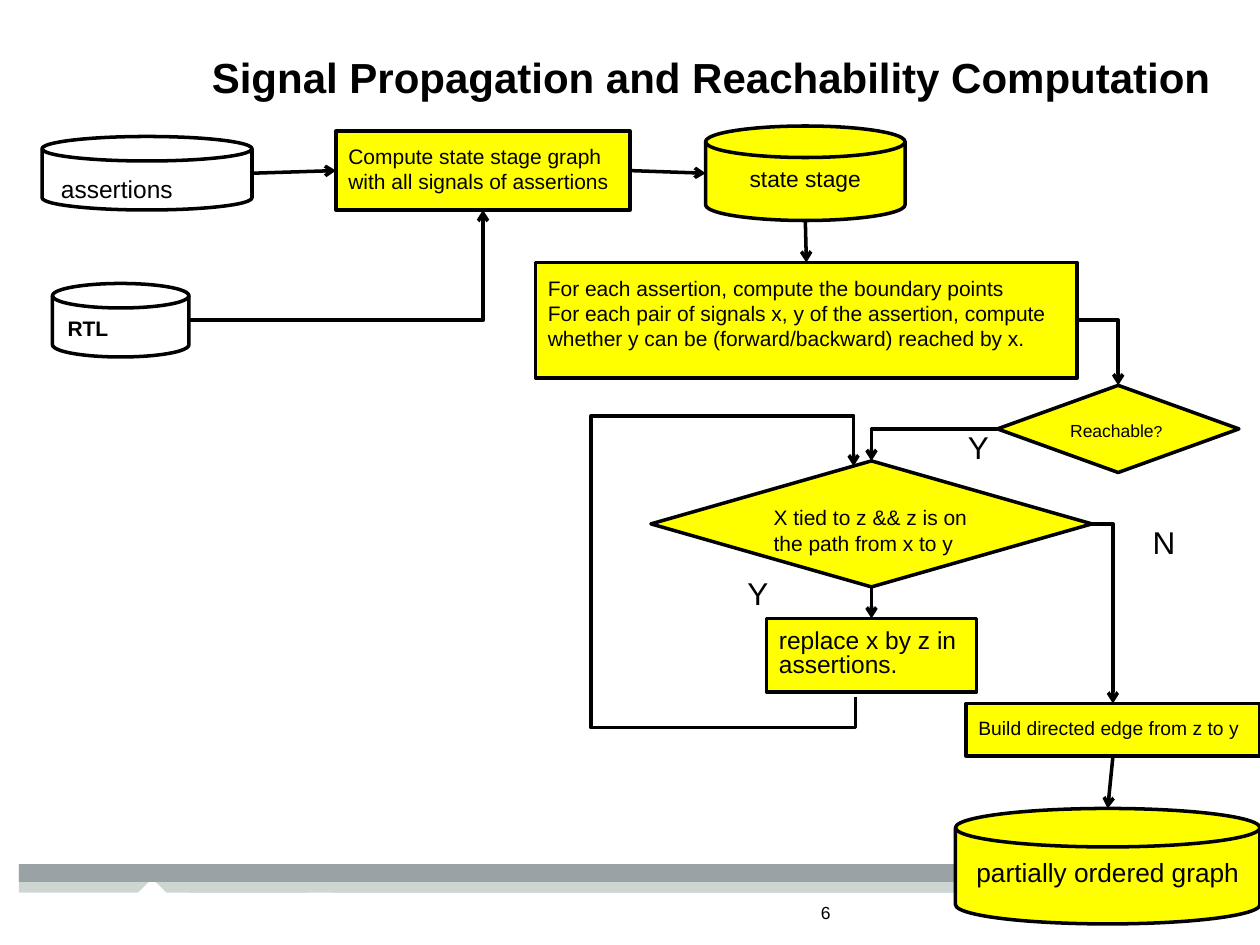
import pptx
import pptx.dml.color
import pptx.enum.shapes
import pptx.enum.text
import pptx.oxml
import pptx.oxml.ns
import pptx.util

SHAPES = pptx.enum.shapes.MSO_SHAPE
ALIGN = pptx.enum.text.PP_ALIGN
COLORS = {"ink": "000000", "step": "FFFF00", "input": "FFFFFF",
          "band": "99A2A5", "strip": "CDD6D1"}
FONT = "Arial"
CELL = pptx.util.Inches(1) / 12  # the slide is a grid of 120 columns by 90 rows
COLUMNS, ROWS = 120, 90

TITLE = "Signal Propagation and Reachability Computation"

# name: preset, (column, row, columns, rows), fill, paragraphs, format values
NODES = {
    "boundary": (SHAPES.RECTANGLE, (51, 25, 51.6, 11), "step",
                 ["For each assertion, compute the boundary points",
                  "For each pair of signals x, y of the assertion, compute "
                  "whether y can be (forward/backward) reached by x."],
                 {"size": 12}),
    "reachable": (SHAPES.DIAMOND, (95, 36.7, 23, 8.3), "step",
                  ["Reachable?"], {"size": 10}),
    "assertions": (SHAPES.FLOWCHART_MAGNETIC_DISK, (4, 13, 20, 7), "input",
                   ["assertions"], {"size": 14, "left": 0.15}),
    "state": (SHAPES.FLOWCHART_MAGNETIC_DISK, (67.2, 12, 19, 9), "step",
              ["state stage"], {"size": 13, "left": 0.35, "spacing": 0.8}),
    "graph": (SHAPES.FLOWCHART_MAGNETIC_DISK, (91, 77, 29, 11), "step",
              ["partially ordered graph"],
              {"size": 15, "spacing": 0.9, "align": ALIGN.CENTER}),
    "edge": (SHAPES.RECTANGLE, (92, 67, 28, 5), "step",
             ["Build directed edge from z to y"], {"size": 11}),
    "compute": (SHAPES.RECTANGLE, (32, 12.5, 28, 7.5), "step",
                ["Compute state stage graph", "with all signals of assertions"],
                {"size": 12}),
    "replace": (SHAPES.RECTANGLE, (73, 58.9, 20, 7), "step",
                ["replace x by z in assertions."], {"size": 14, "spacing": 0.8}),
    "tied": (SHAPES.DIAMOND, (62, 43.9, 42, 12), "step",
             ["X tied to z && z is on the path from x to y"], {"size": 12}),
    "rtl": (SHAPES.FLOWCHART_MAGNETIC_DISK, (5, 27, 13, 7), "input",
            ["RTL"], {"size": 12, "bold": True, "left": 0.12, "spacing": 0.8}),
}

STRAIGHT = [("assertions", "right", "compute", "left"),
            ("compute", "right", "state", "left"),
            ("state", "bottom", "boundary", "top"),
            ("tied", "bottom", "replace", "top"),
            ("edge", "bottom", "graph", "top")]
ELBOWS = [("rtl", "right", "compute", "bottom"),
          ("boundary", "right", "reachable", "top"),
          ("reachable", "left", "tied", "top"),
          ("tied", "right", "edge", "top")]
LOOP = [(81.5, 66.4), (81.5, 69.3), (56.3, 69.3),
        (56.3, 39.6), (81.3, 39.6), (81.3, 44.4)]

# text, (column, row, columns, rows), size
LABELS = [("Y", (91, 40.2, 3.5, 4.8), 18), ("Y", (70, 54.1, 3.5, 4.8), 18),
          ("N", (108.6, 49.2, 3.5, 4.8), 18), ("6", (77, 85.3, 9, 4.1), 10)]

BAND = (1.8, 82.3, 116.6, 1.7)
STRIPS = [(18.1, 118.3, 30.5), (1.8, 104.8, 14.5)]  # left, right, notch centre
STRIP_TOP, STRIP_BOTTOM, NOTCH = 82.7, 85, 1.35
SIDES = {"left": (0, 0.5), "right": (1, 0.5), "top": (0.5, 0), "bottom": (0.5, 1)}


def grid(values):
    return [round(value * CELL) for value in values]


def color(name):
    return pptx.dml.color.RGBColor.from_string(COLORS[name])


def side(name, which):
    """Middle of one side of a node, in grid units."""
    left, top, width, height = NODES[name][1]
    across, down = SIDES[which]
    return left + width * across, top + height * down


def write(frame, paragraphs, size, inset=0.1, left=0.1, bold=False,
          spacing=1.0, align=ALIGN.LEFT):
    margin = pptx.util.Inches(inset)
    frame_format = {"word_wrap": True, "margin_left": pptx.util.Inches(left),
                    "margin_right": pptx.util.Inches(0.1), "margin_top": margin,
                    "margin_bottom": margin,
                    "vertical_anchor": pptx.enum.text.MSO_ANCHOR.TOP}
    for key, value in frame_format.items():
        setattr(frame, key, value)
    for number, text in enumerate(paragraphs):
        paragraph = frame.add_paragraph() if number else frame.paragraphs[0]
        paragraph.text = text
        paragraph.alignment = align
        paragraph.line_spacing = spacing
        font_format = {"name": FONT, "size": pptx.util.Pt(size), "bold": bold}
        for key, value in font_format.items():
            setattr(paragraph.font, key, value)
        paragraph.font.color.rgb = color("ink")


def paint(shape, fill):
    shape.shadow.inherit = False
    shape.fill.solid()
    shape.fill.fore_color.rgb = color(fill)


def outline(shape):
    shape.line.color.rgb = color("ink")
    shape.line.width = pptx.util.Pt(2)


def add_arrowhead(shape):
    line = shape.element.spPr.find(pptx.oxml.ns.qn("a:ln"))
    line.append(pptx.oxml.parse_xml(
        f'<a:tailEnd {pptx.oxml.ns.nsdecls("a")} type="arrow"/>'))


def add_polygon(slide, points, close):
    first, *rest = [grid(point) for point in points]
    builder = slide.shapes.build_freeform(*first, scale=1.0)
    builder.add_line_segments(rest, close=close)
    return builder.convert_to_shape()


def add_route(slide, points):
    """Open line with corners and an arrowhead at its end."""
    route = add_polygon(slide, points, close=False)
    route.shadow.inherit = False
    route.fill.background()
    outline(route)
    add_arrowhead(route)


def add_footer_band(slide):
    for left, right, centre in STRIPS:
        notch = [(centre + NOTCH, STRIP_BOTTOM), (centre, STRIP_BOTTOM - NOTCH),
                 (centre - NOTCH, STRIP_BOTTOM)]
        strip = add_polygon(slide, [(right, STRIP_TOP), (right, STRIP_BOTTOM), *notch,
                                    (left, STRIP_BOTTOM), (left, STRIP_TOP)], True)
        paint(strip, "strip")
        strip.line.fill.background()
    band = slide.shapes.add_shape(SHAPES.RECTANGLE, *grid(BAND))
    paint(band, "band")
    band.line.fill.background()


def add_straight_arrow(slide, start, end):
    arrow = slide.shapes.add_connector(pptx.enum.shapes.MSO_CONNECTOR.STRAIGHT,
                                       *grid(start), *grid(end))
    outline(arrow)
    add_arrowhead(arrow)
    arrow.element.spPr.append(pptx.oxml.parse_xml(
        f'<a:effectLst {pptx.oxml.ns.nsdecls("a")}/>'))


def main():
    presentation = pptx.Presentation()
    presentation.slide_width, presentation.slide_height = grid((COLUMNS, ROWS))
    slide = presentation.slides.add_slide(presentation.slide_layouts[5])
    add_footer_band(slide)

    title = slide.shapes.title
    title.left, title.top, title.width, title.height = grid((0, 5, 116.5, 8.6))
    write(title.text_frame, [TITLE], 24, inset=0.05, bold=True,
          spacing=0.85, align=ALIGN.RIGHT)

    for preset, place, fill, paragraphs, text_format in NODES.values():
        node = slide.shapes.add_shape(preset, *grid(place))
        paint(node, fill)
        outline(node)
        write(node.text_frame, paragraphs, **text_format)
        if paragraphs == ["Reachable?"]:
            mark = node.text_frame.paragraphs[0]
            mark.runs[0].text = "Reachable"
            question = mark.add_run()
            question.text = "?"
            question.font.size = pptx.util.Pt(9)

    for source, leaving, target, entering in STRAIGHT:
        add_straight_arrow(slide, side(source, leaving), side(target, entering))
    for source, leaving, target, entering in ELBOWS:
        start, end = side(source, leaving), side(target, entering)
        add_route(slide, [start, (end[0], start[1]), end])
    add_route(slide, LOOP)

    for text, place, size in LABELS:
        label = slide.shapes.add_textbox(*grid(place))
        write(label.text_frame, [text], size, inset=0.05)

    presentation.save("out.pptx")


if __name__ == "__main__":
    main()
